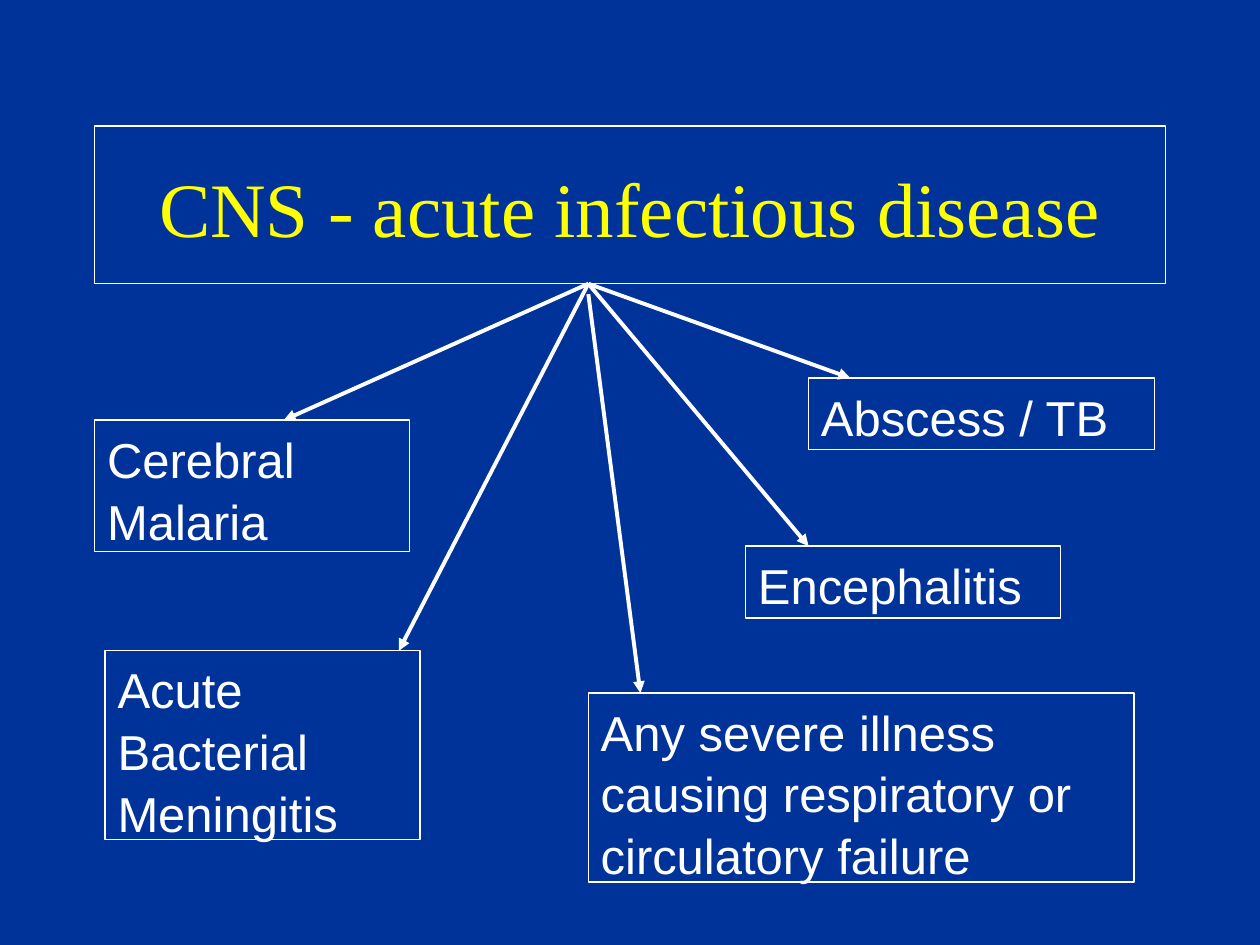
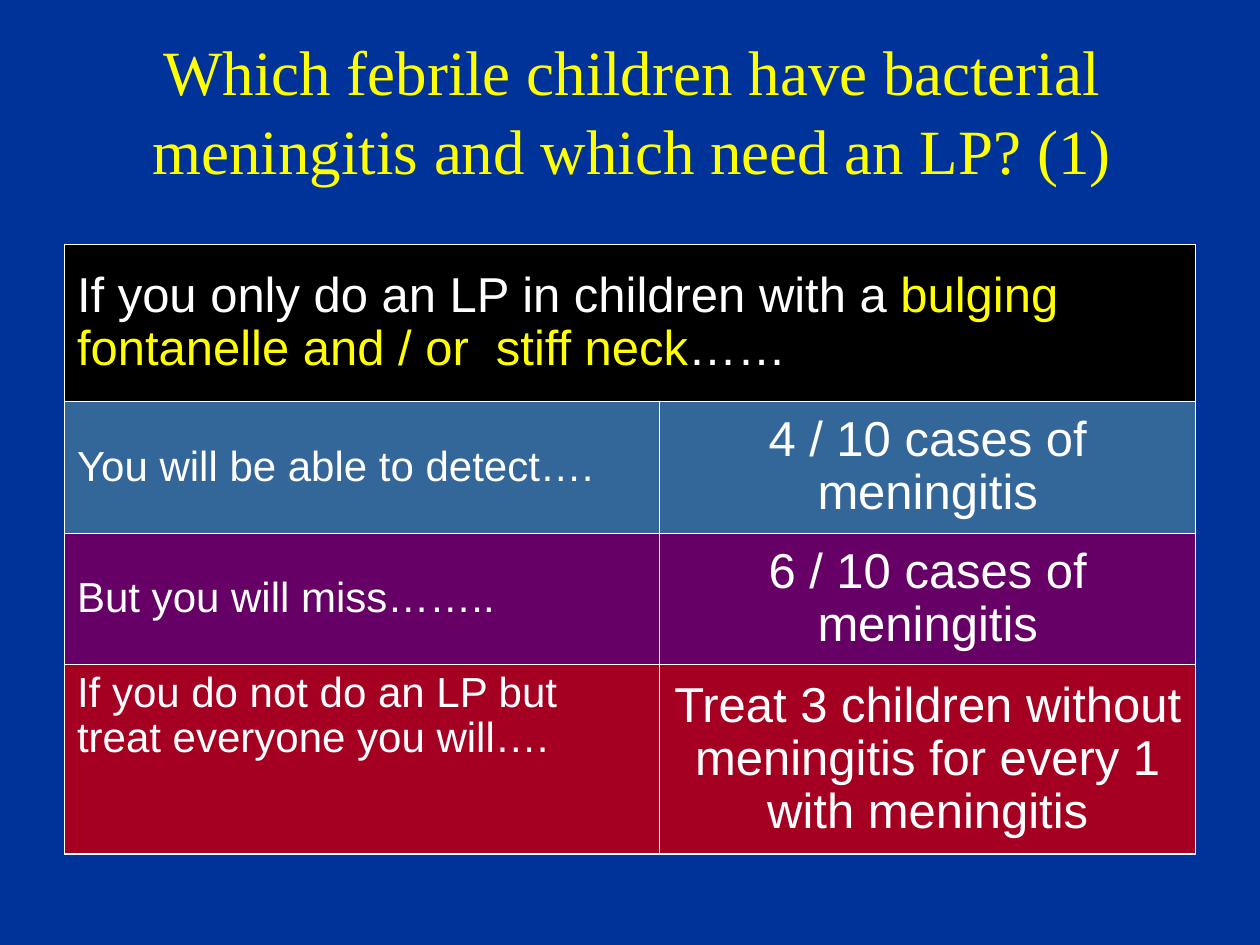
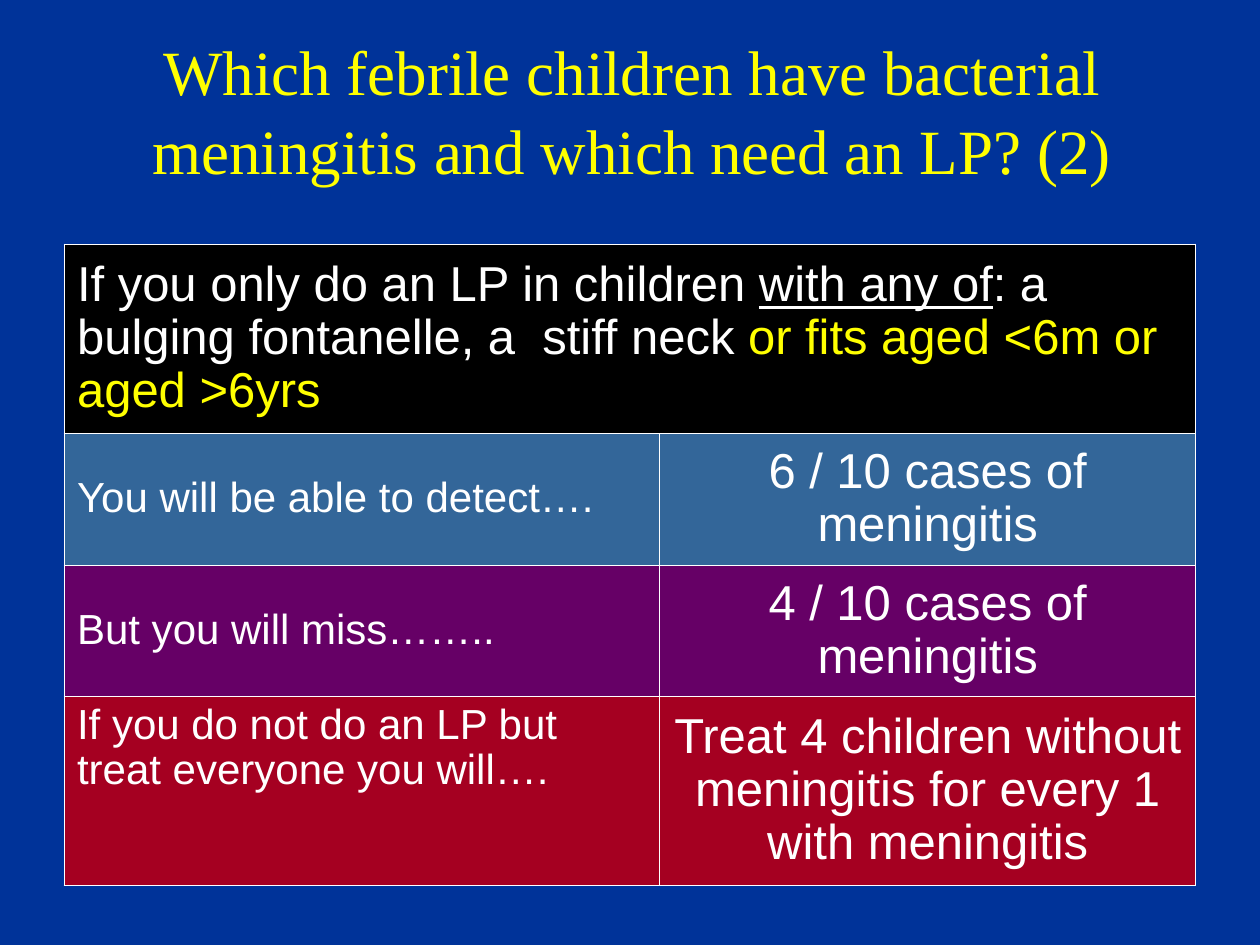
from lxml.etree import SubElement
from pptx import Presentation
from pptx.dml.color import RGBColor
from pptx.enum.shapes import MSO_CONNECTOR, MSO_SHAPE
from pptx.enum.text import MSO_ANCHOR, MSO_AUTO_SIZE, PP_ALIGN
from pptx.oxml.ns import qn
from pptx.util import Cm, Pt

# Shared look
NAVY, WHITE, YELLOW, BLACK = "003399", "FFFFFF", "FFFF00", "000000"
STEEL, PURPLE, RED = "336699", "660066", "A50021"
TITLE_FONT, BODY_FONT = "Times New Roman", "Arial"
LOOSE, TIGHT = 1.05, 0.97
OUTER_LINE, INNER_LINE = 1.08, 0.45

# Causes: text, left, top, width, height, arrow tip x, arrow start y
HUB_X, HUB_Y = 11.86, 5.72
CAUSES = [
    ("Cerebral Malaria", 1.91, 8.47, 6.35, 2.65, 5.72, HUB_Y),
    ("Acute Bacterial Meningitis", 2.12, 13.12, 6.35, 3.81, 8.04, HUB_Y),
    ("Encephalitis", 15.03, 11.01, 6.35, 1.45, 16.3, HUB_Y),
    ("Abscess / TB", 16.3, 7.62, 6.98, 1.45, 17.14, HUB_Y),
    ("Any severe illness causing respiratory or circulatory failure",
     11.86, 13.97, 11, 3.81, 12.91, 5.93),
]

# LP rules: header spans (text, colour, underlined), header height,
# cases detected and missed, children treated needlessly
LP_RULES = [
    ([("If you only do an LP in children with a ", WHITE, False),
      ("bulging fontanelle and / or  stiff neck", YELLOW, False),
      ("……", WHITE, False)], 3.17, 4, 6, 3),
    ([("If you only do an LP in children ", WHITE, False),
      ("with any of", WHITE, True),
      (": a bulging fontanelle, a  stiff neck ", WHITE, False),
      ("or fits aged <6m or aged >6yrs", YELLOW, False)], 3.81, 6, 4, 4),
]


def colour(value):
    return RGBColor.from_string(value)


def add_span(para, text, size, ink=WHITE, font=BODY_FONT, underline=False):
    span = para.add_run()
    span.text = text
    span.font.size = Pt(size)
    span.font.name = font
    span.font.color.rgb = colour(ink)
    if underline:
        span.font.underline = True


def set_para(frame, align, spacing):
    frame.word_wrap = True
    para = frame.paragraphs[0]
    para.alignment = align
    para.line_spacing = spacing
    return para


def add_title(page, text, size, left, top, width, height):
    box = page.shapes.add_textbox(Cm(left), Cm(top), Cm(width), Cm(height))
    box.text_frame.vertical_anchor = MSO_ANCHOR.MIDDLE
    para = set_para(box.text_frame, PP_ALIGN.CENTER, LOOSE)
    add_span(para, text, size, YELLOW, TITLE_FONT)
    return box


def outline(box):
    box.line.color.rgb = colour(WHITE)
    box.line.width = Pt(0.75)


def add_cause(page, text, left, top, width, height):
    box = page.shapes.add_shape(MSO_SHAPE.RECTANGLE, Cm(left), Cm(top),
                                Cm(width), Cm(height))
    box.shadow.inherit = False
    box.fill.background()
    outline(box)
    frame = box.text_frame
    frame.vertical_anchor = MSO_ANCHOR.TOP
    frame.auto_size = MSO_AUTO_SIZE.SHAPE_TO_FIT_TEXT
    add_span(set_para(frame, PP_ALIGN.LEFT, LOOSE), text, 28)


def add_arrow(page, start_x, start_y, end_x, end_y):
    arrow = page.shapes.add_connector(MSO_CONNECTOR.STRAIGHT, Cm(start_x),
                                      Cm(start_y), Cm(end_x), Cm(end_y))
    arrow.line.color.rgb = colour(WHITE)
    arrow.line.width = Pt(2.25)
    SubElement(arrow.line._get_or_add_ln(), qn("a:tailEnd"), type="triangle")
    SubElement(arrow._element.spPr, qn("a:effectLst"))


def style_cell(cell, fill, edges):
    """Edges tells for left, right, top and bottom whether it is outer."""
    properties = cell._tc.get_or_add_tcPr()
    for side, outer in zip("LRTB", edges):
        width = Pt(OUTER_LINE if outer else INNER_LINE)
        line = SubElement(properties, qn(f"a:ln{side}"), w=str(width))
        paint = SubElement(line, qn("a:solidFill"))
        SubElement(paint, qn("a:srgbClr"), val=WHITE)
    cell.fill.solid()
    cell.fill.fore_color.rgb = colour(fill)
    cell.vertical_anchor = MSO_ANCHOR.MIDDLE


def add_lp_table(page, header, header_height, detected, missed, treated):
    rows = [
        ("You will be able to detect….",
         f"{detected} / 10 cases of meningitis", STEEL, 2.65),
        ("But you will miss……..",
         f"{missed} / 10 cases of meningitis", PURPLE, 2.65),
        ("If you do not do an LP but treat everyone you will….",
         f"Treat {treated} children without meningitis for every 1 with meningitis",
         RED, 3.81),
    ]
    widths = [12, 10.8]
    heights = [header_height] + [row[3] for row in rows]
    fills = [BLACK] + [row[2] for row in rows]
    table = page.shapes.add_table(len(heights), 2, Cm(1.3), Cm(4.93),
                                  Cm(sum(widths)), Cm(sum(heights))).table
    table.first_row = table.horz_banding = False

    # Grid
    for column, width in zip(table.columns, widths):
        column.width = Cm(width)
    last = len(heights) - 1
    for r, (height, fill) in enumerate(zip(heights, fills)):
        table.rows[r].height = Cm(height)
        for c in range(2):
            edges = (c == 0, c == 1 or r == 0, r == 0, r == last)
            style_cell(table.cell(r, c), fill, edges)
    table.cell(0, 0).merge(table.cell(0, 1))
    table.cell(last, 0).vertical_anchor = MSO_ANCHOR.TOP

    # Wording
    para = set_para(table.cell(0, 0).text_frame, PP_ALIGN.LEFT, TIGHT)
    for text, ink, underline in header:
        add_span(para, text, 28, ink, underline=underline)
    for r, (label, result, _, _) in enumerate(rows, 1):
        for c, text, size, align in ((0, label, 24, PP_ALIGN.LEFT),
                                     (1, result, 28, PP_ALIGN.CENTER)):
            para = set_para(table.cell(r, c).text_frame, align, TIGHT)
            add_span(para, text, size)


def main():
    deck = Presentation()
    deck.slide_width, deck.slide_height = Cm(25.4), Cm(19.05)
    background = deck.slide_master.background.fill
    background.solid()
    background.fore_color.rgb = colour(NAVY)
    blank = deck.slide_layouts[6]

    # Causes of acute disease
    page = deck.slides.add_slide(blank)
    outline(add_title(page, "CNS - acute infectious disease", 44,
                      1.9, 2.54, 21.6, 3.18))
    for text, left, top, width, height, tip_x, start_y in CAUSES:
        add_cause(page, text, left, top, width, height)
        add_arrow(page, HUB_X, start_y, tip_x, top)

    # Who needs an LP
    for number, rule in enumerate(LP_RULES, 1):
        page = deck.slides.add_slide(blank)
        add_title(page, "Which febrile children have bacterial meningitis "
                  f"and which need an LP? ({number})", 36,
                  1.5, 0.91, 22.48, 2.54)
        add_lp_table(page, *rule)

    deck.save("out.pptx")


if __name__ == "__main__":
    main()
